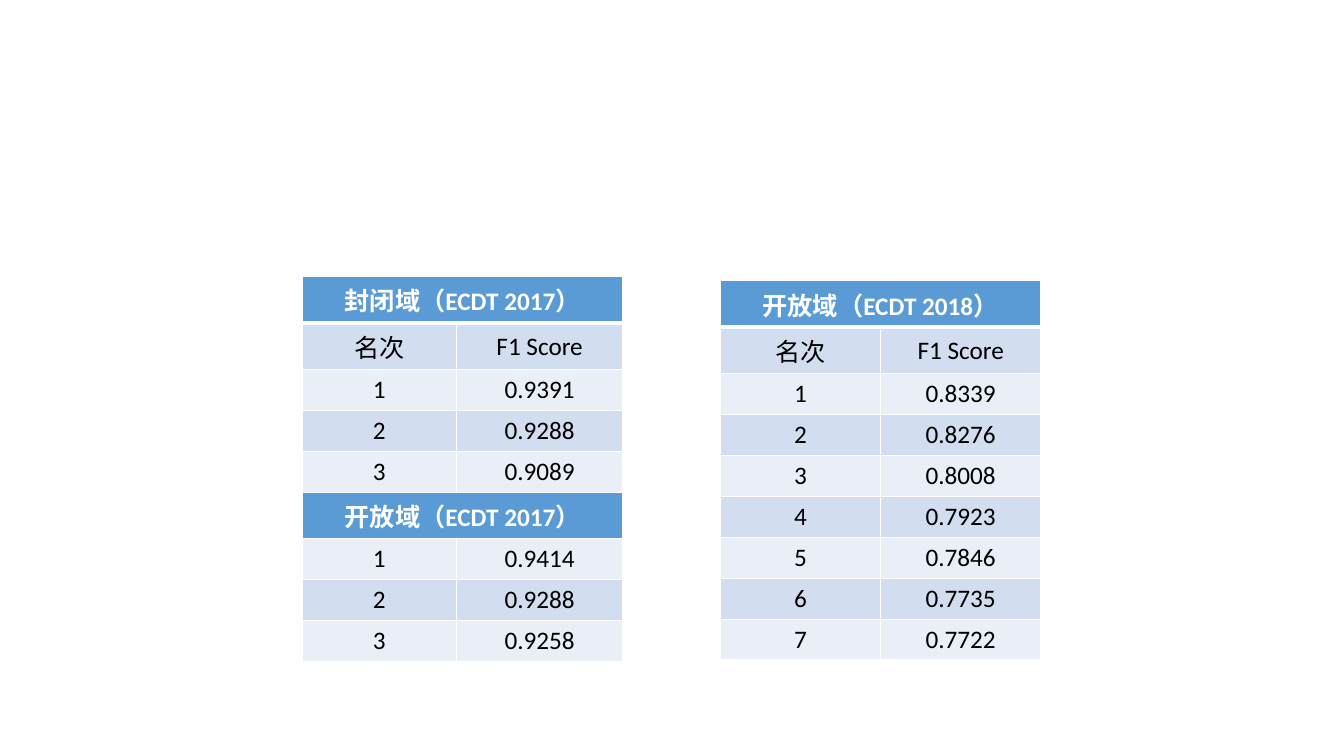
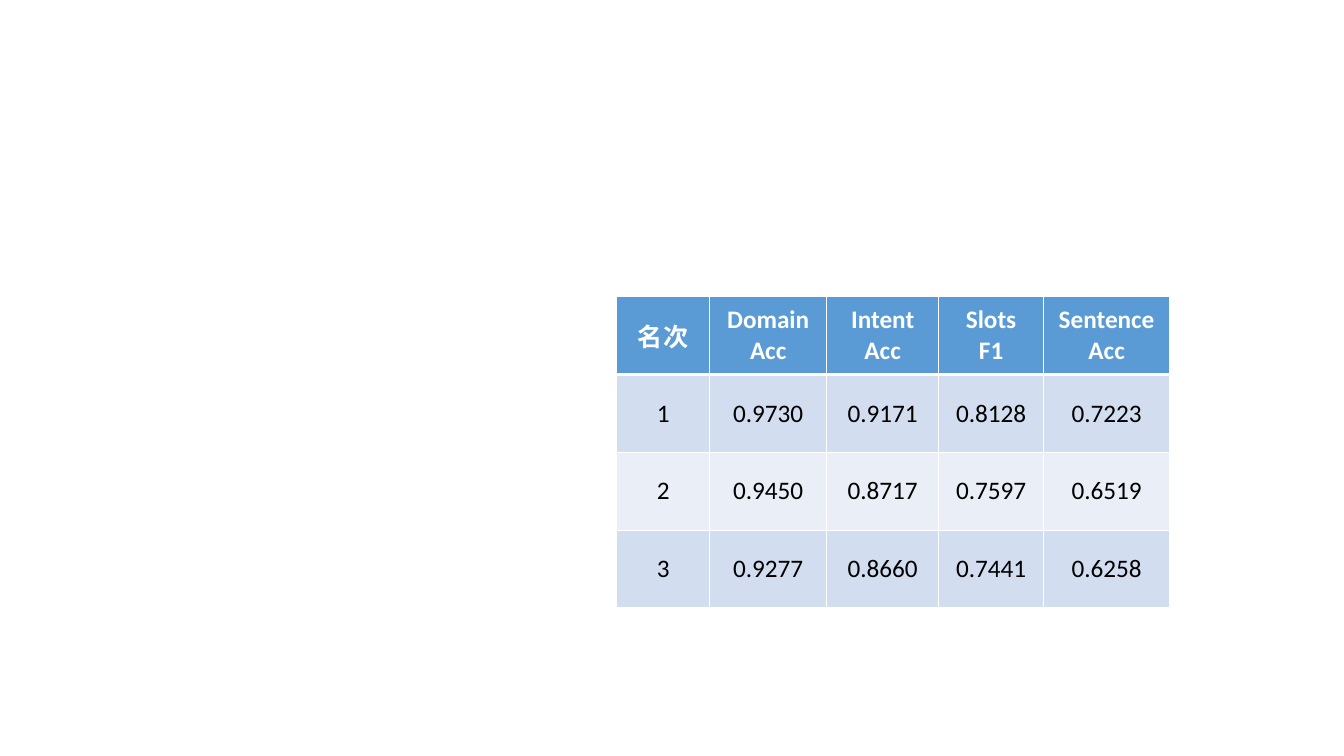
from lxml import etree
from pptx import Presentation
from pptx.dml.color import RGBColor
from pptx.enum.text import MSO_ANCHOR, PP_ALIGN
from pptx.oxml.ns import qn
from pptx.util import Pt

MIDDLE = MSO_ANCHOR.MIDDLE
CENTER = PP_ALIGN.CENTER
BLANK_LAYOUT = 6

WHITE, BLACK = "FFFFFF", "000000"
HEADER_BLUE = "5B9BD5"
BAND_COLORS = ("EAEFF7", "D2DEEF")

CLOSED_AND_OPEN_2017 = [
    ["封闭域（ECDT 2017）"],
    ["名次", "F1 Score"],
    ["1", "0.9391"],
    ["2", "0.9288"],
    ["3", "0.9089"],
    ["开放域（ECDT 2017）"],
    ["1", "0.9414"],
    ["2", "0.9288"],
    ["3", "0.9258"],
]
OPEN_2018 = [
    ["开放域（ECDT 2018）"],
    ["名次", "F1 Score"],
    ["1", "0.8339"],
    ["2", "0.8276"],
    ["3", "0.8008"],
    ["4", "0.7923"],
    ["5", "0.7846"],
    ["6", "0.7735"],
    ["7", "0.7722"],
]
ACCURACY = [
    ["名次", "Domain\nAcc", "Intent\nAcc", "Slots\nF1", "Sentence\nAcc"],
    ["1", "0.9730", "0.9171", "0.8128", "0.7223"],
    ["2", "0.9450", "0.8717", "0.7597", "0.6519"],
    ["3", "0.9277", "0.8660", "0.7441", "0.6258"],
]


def color(hex_string):
    return RGBColor.from_string(hex_string)


class Deck:
    """Holds the shared table style and the current slide."""

    font_format = {"name": "Calibri", "size": Pt(18)}
    rule_width, header_rule_width = 1, 3

    def __init__(self):
        self.presentation = Presentation()
        self.presentation.slide_width = Pt(960)
        self.presentation.slide_height = Pt(540)
        self.slide = None

    def add_slide(self):
        layout = self.presentation.slide_layouts[BLANK_LAYOUT]
        self.slide = self.presentation.slides.add_slide(layout)

    def add_table(self, left, top, column_widths, row_height, rows):
        """Add a banded table; a row with a single text spans all columns as a header."""
        column_count = len(column_widths)
        table = self.slide.shapes.add_table(
            len(rows), column_count, Pt(left), Pt(top),
            Pt(sum(column_widths)), Pt(row_height * len(rows))).table
        table.first_row = table.horz_banding = False
        for column, width in zip(table.columns, column_widths):
            column.width = Pt(width)

        for row_index, texts in enumerate(rows):
            table.rows[row_index].height = Pt(row_height)
            spans_row = len(texts) == 1
            is_header = row_index == 0 or spans_row
            for column_index in range(column_count):
                cell = table.cell(row_index, column_index)
                self.set_borders(cell, row_index)
                self.fill_cell(cell, HEADER_BLUE if is_header else BAND_COLORS[row_index % 2])
                if column_index < len(texts):
                    self.write_cell(cell, texts[column_index], is_header)
            if spans_row:
                table.cell(row_index, 0).merge(table.cell(row_index, column_count - 1))

    def set_borders(self, cell, row_index):
        """Draw white rules, with a thicker one between the first two rows."""
        widths = dict.fromkeys(("a:lnL", "a:lnR", "a:lnT", "a:lnB"), self.rule_width)
        if row_index == 0:
            widths["a:lnB"] = self.header_rule_width
        elif row_index == 1:
            widths["a:lnT"] = self.header_rule_width
        properties = cell._tc.get_or_add_tcPr()
        for tag, width in widths.items():
            line = etree.SubElement(properties, qn(tag), w=str(Pt(width)))
            fill = etree.SubElement(line, qn("a:solidFill"))
            etree.SubElement(fill, qn("a:srgbClr"), val=WHITE)

    def fill_cell(self, cell, fill_color):
        cell.fill.solid()
        cell.fill.fore_color.rgb = color(fill_color)

    def write_cell(self, cell, text, is_header):
        cell.vertical_anchor = MIDDLE
        cell.text_frame.text = text
        for paragraph in cell.text_frame.paragraphs:
            paragraph.alignment = CENTER
            font = paragraph.runs[0].font
            for attribute, value in {**self.font_format, "bold": is_header}.items():
                setattr(font, attribute, value)
            font.color.rgb = color(WHITE if is_header else BLACK)


def main():
    deck = Deck()
    deck.add_slide()
    deck.add_table(216, 197.5, (110, 119), 29.2, CLOSED_AND_OPEN_2017)
    deck.add_table(514.5, 200.5, (114.5, 114.5), 29.2, OPEN_2018)
    deck.add_slide()
    deck.add_table(440.5, 212, (66.4, 83.6, 80, 75, 90), 55.6, ACCURACY)
    deck.presentation.save("out.pptx")


if __name__ == "__main__":
    main()
